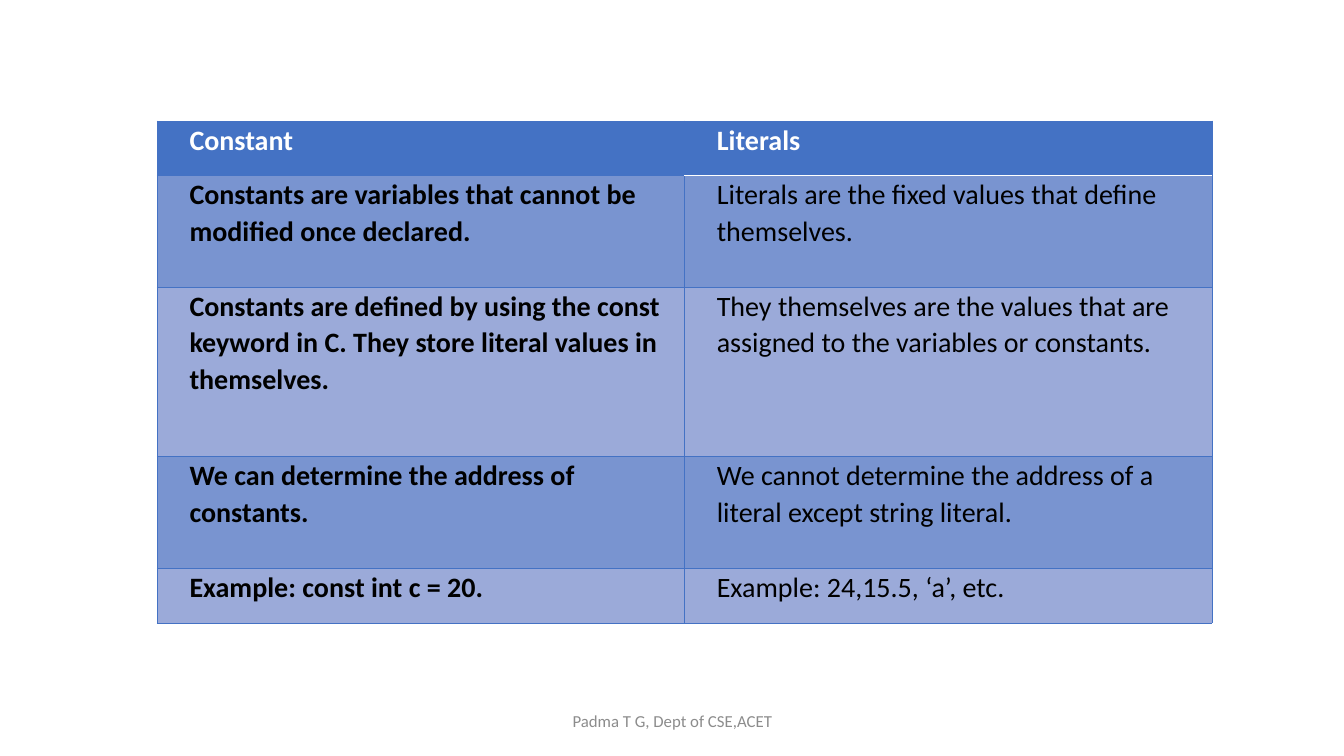
from dataclasses import dataclass

from lxml import etree
from pptx import Presentation
from pptx.dml.color import RGBColor
from pptx.enum.text import MSO_ANCHOR, PP_ALIGN
from pptx.oxml.ns import qn
from pptx.slide import Slide
from pptx.table import _Cell as Cell
from pptx.util import Inches, Pt

FONT = "Calibri"
BLUE = RGBColor(0x44, 0x72, 0xC4)
DARK_BAND = RGBColor(0x79, 0x94, 0xD0)
LIGHT_BAND = RGBColor(0x9B, 0xAA, 0xD9)
WHITE = RGBColor(0xFF, 0xFF, 0xFF)
BLACK = RGBColor(0x00, 0x00, 0x00)
GRAY = RGBColor(0x8C, 0x8C, 0x8C)

COLUMN_WIDTH = 5.23


@dataclass(frozen=True)
class Comparison:
    constant: str
    literal: str
    height: float


COMPARISONS = [
    Comparison("Constant", "Literals", 0.54),
    Comparison(
        "Constants are variables that cannot be modified once declared.",
        "Literals are the fixed values that define themselves.",
        1.11,
    ),
    Comparison(
        "Constants are defined by using the const keyword in C. "
        "They store literal values in themselves.",
        "They themselves are the values that are assigned to the variables or constants.",
        1.68,
    ),
    Comparison(
        "We can determine the address of constants.",
        "We cannot determine the address of a literal except string literal.",
        1.11,
    ),
    Comparison("Example: const int c = 20.", "Example: 24,15.5, ‘a’, etc.", 0.54),
]


def set_border(cell: Cell, side: str, color: RGBColor, width: float) -> None:
    """Add one border; call in the order L, R, T, B, before filling the cell."""
    line = etree.SubElement(cell._tc.get_or_add_tcPr(), qn(f"a:ln{side}"), w=str(Pt(width)))
    fill = etree.SubElement(line, qn("a:solidFill"))
    etree.SubElement(fill, qn("a:srgbClr"), val=str(color))


def format_cell(cell: Cell, text: str, row: int, column: int) -> None:
    is_header = row == 0
    for side in "LRTB":
        # A white rule separates the Literals heading from its column.
        ruled = column == 1 and (row, side) in ((0, "B"), (1, "T"))
        set_border(cell, side, WHITE if ruled else BLUE, 1 if ruled else 0.5)
    cell.fill.solid()
    cell.fill.fore_color.rgb = BLUE if is_header else DARK_BAND if row % 2 else LIGHT_BAND
    cell.margin_left = cell.margin_right = Inches(0.07)
    cell.margin_top = cell.margin_bottom = 0
    cell.text = text
    para = cell.text_frame.paragraphs[0]
    para._p.get_or_add_pPr().set("marL", str(Inches(0.25)))
    para.line_spacing = 1.07
    para.space_after = Pt(8)
    para.font.name = FONT
    para.font.size = Pt(20)
    para.font.bold = is_header or column == 0
    para.font.color.rgb = WHITE if is_header else BLACK


def add_comparison_table(page: Slide) -> None:
    height = sum(item.height for item in COMPARISONS)
    table = page.shapes.add_table(
        len(COMPARISONS), 2, Inches(1.56), Inches(1.2), Inches(2 * COLUMN_WIDTH), Inches(height)
    ).table
    table.horz_banding = False
    for column in table.columns:
        column.width = Inches(COLUMN_WIDTH)
    for row, item in enumerate(COMPARISONS):
        table.rows[row].height = Inches(item.height)
        for column, text in enumerate((item.constant, item.literal)):
            format_cell(table.cell(row, column), text, row, column)


def add_footer(page: Slide) -> None:
    box = page.shapes.add_textbox(Inches(4.42), Inches(6.95), Inches(4.5), Inches(0.4))
    frame = box.text_frame
    frame.word_wrap = True
    frame.vertical_anchor = MSO_ANCHOR.MIDDLE
    para = frame.paragraphs[0]
    para.text = "Padma T G, Dept of CSE,ACET"
    para.alignment = PP_ALIGN.CENTER
    para.font.name = FONT
    para.font.size = Pt(12)
    para.font.color.rgb = GRAY


def main() -> None:
    deck = Presentation()
    deck.slide_width = Inches(13.33)
    deck.slide_height = Inches(7.5)
    page = deck.slides.add_slide(deck.slide_layouts.get_by_name("Blank"))
    add_comparison_table(page)
    add_footer(page)
    deck.save("out.pptx")


if __name__ == "__main__":
    main()
